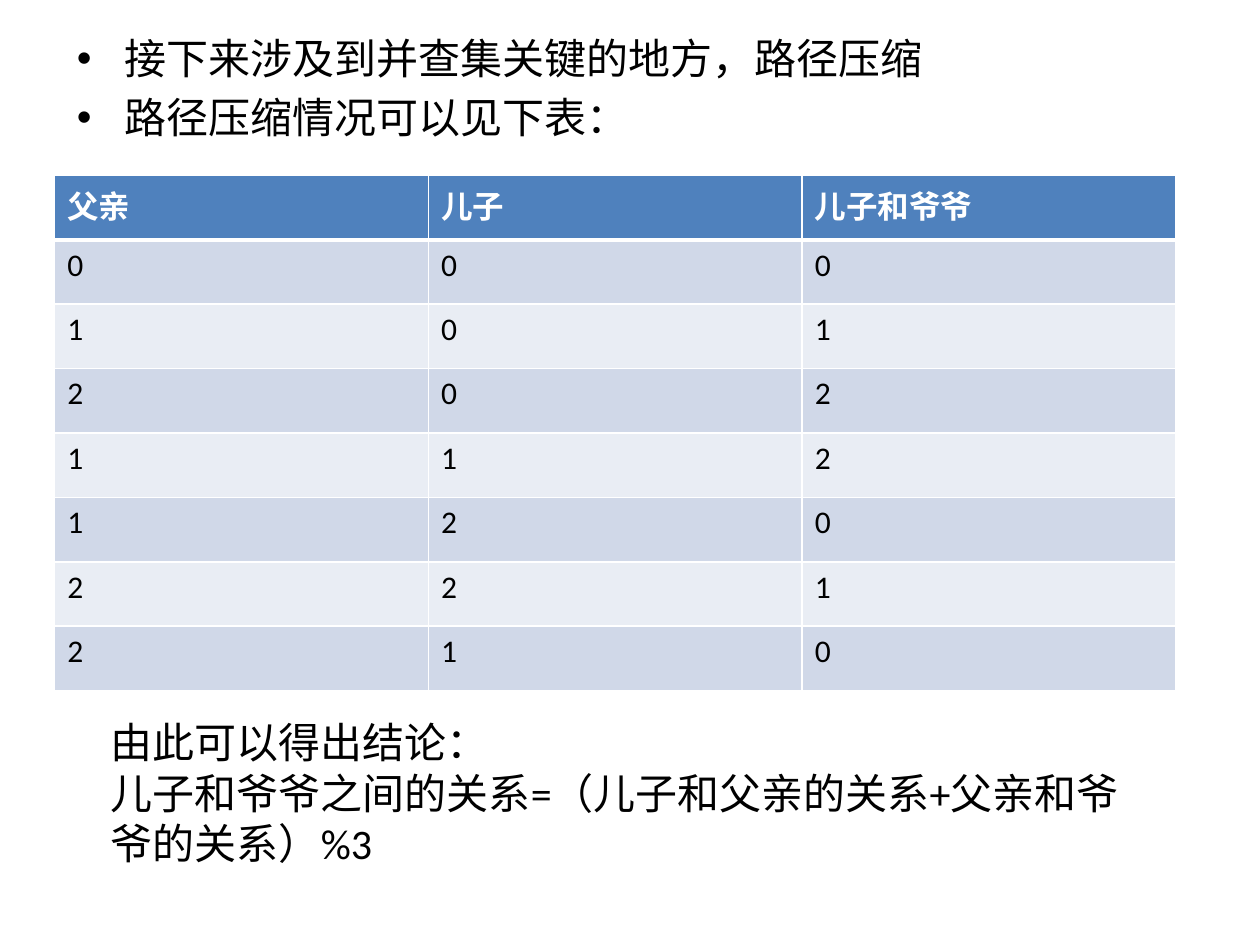
from dataclasses import dataclass

from lxml import etree
from pptx import Presentation
from pptx.dml.color import RGBColor
from pptx.enum.text import MSO_AUTO_SIZE
from pptx.oxml.ns import qn
from pptx.util import Pt

GROW_TO_FIT = MSO_AUTO_SIZE.SHAPE_TO_FIT_TEXT
NO_AUTOFIT = MSO_AUTO_SIZE.NONE
CONTENT_LAYOUT = 1
FONT = "Calibri"
BLACK, WHITE = "000000", "FFFFFF"
HEADER_FILL = "4F81BD"
BAND_FILLS = ("D0D8E8", "E9EDF4")
THIN, THICK = 1, 3

INTRODUCTION = ["接下来涉及到并查集关键的地方，路径压缩", "路径压缩情况可以见下表："]
HEADINGS = ("父亲", "儿子", "儿子和爷爷")
RELATIONS = [(0, 0), (1, 0), (2, 0), (1, 1), (1, 2), (2, 2), (2, 1)]
CONCLUSION = [
    "由此可以得出结论：",
    "儿子和爷爷之间的关系=（儿子和父亲的关系+父亲和爷爷的关系）%3",
]


@dataclass(frozen=True)
class Box:
    left: float
    top: float
    width: float
    height: float

    def lengths(self) -> tuple:
        return Pt(self.left), Pt(self.top), Pt(self.width), Pt(self.height)


@dataclass(frozen=True)
class CellStyle:
    fill: str
    color: str
    bold: bool
    top_border: float
    bottom_border: float


INTRODUCTION_BOX = Box(36.75, 15, 648, 356.5)
TABLE_BOX = Box(31.25, 100.25, 640.8, 294.4)
CONCLUSION_BOX = Box(56.25, 406, 595.5, 124)


def rgb(value: str) -> RGBColor:
    return RGBColor.from_string(value)


def write_text(text_frame, lines: list, size: float,
               color: str = BLACK, bold: bool = False) -> None:
    text_frame.text = "\n".join(lines)
    for paragraph in text_frame.paragraphs:
        for run in paragraph.runs:
            run.font.name = FONT
            run.font.size = Pt(size)
            run.font.bold = bold
            run.font.color.rgb = rgb(color)


def add_border(cell, side: str, width: float) -> None:
    properties = cell._tc.get_or_add_tcPr()
    line = etree.SubElement(properties, qn(f"a:ln{side}"), w=str(Pt(width)))
    fill = etree.SubElement(line, qn("a:solidFill"))
    etree.SubElement(fill, qn("a:srgbClr"), val=WHITE)


def style_cell(cell, text: str, style: CellStyle) -> None:
    write_text(cell.text_frame, [text], 18, style.color, style.bold)
    # Borders come before the fill in the cell properties
    widths = {"L": THIN, "R": THIN, "T": style.top_border, "B": style.bottom_border}
    for side, width in widths.items():
        add_border(cell, side, width)
    cell.fill.solid()
    cell.fill.fore_color.rgb = rgb(style.fill)


def row_style(row: int) -> CellStyle:
    if row == 0:
        return CellStyle(HEADER_FILL, WHITE, True, THIN, THICK)
    top_border = THICK if row == 1 else THIN
    return CellStyle(BAND_FILLS[(row - 1) % 2], BLACK, False, top_border, THIN)


def add_relation_table(slide, box: Box) -> None:
    # The last column is the sum of the two relations modulo 3
    rows = [HEADINGS] + [(father, son, (father + son) % 3) for father, son in RELATIONS]
    table = slide.shapes.add_table(len(rows), len(HEADINGS), *box.lengths()).table
    for column in table.columns:
        column.width = Pt(box.width / len(HEADINGS))
    for row_index, values in enumerate(rows):
        table.rows[row_index].height = Pt(box.height / len(rows))
        for column_index, value in enumerate(values):
            style_cell(table.cell(row_index, column_index), str(value), row_style(row_index))


def main() -> None:
    presentation = Presentation()
    presentation.slide_width, presentation.slide_height = Pt(720), Pt(540)
    slide = presentation.slides.add_slide(presentation.slide_layouts[CONTENT_LAYOUT])

    # The slide has no title
    title = slide.shapes.title
    title.element.getparent().remove(title.element)

    # Introduction bullets
    body = slide.placeholders[1]
    body.left, body.top, body.width, body.height = INTRODUCTION_BOX.lengths()
    body.text_frame.auto_size = NO_AUTOFIT
    write_text(body.text_frame, INTRODUCTION, 24)

    # Table of relations
    add_relation_table(slide, TABLE_BOX)

    # Conclusion
    conclusion = slide.shapes.add_textbox(*CONCLUSION_BOX.lengths())
    conclusion.text_frame.word_wrap = True
    conclusion.text_frame.auto_size = GROW_TO_FIT
    write_text(conclusion.text_frame, CONCLUSION, 24)

    presentation.save("out.pptx")


if __name__ == "__main__":
    main()
